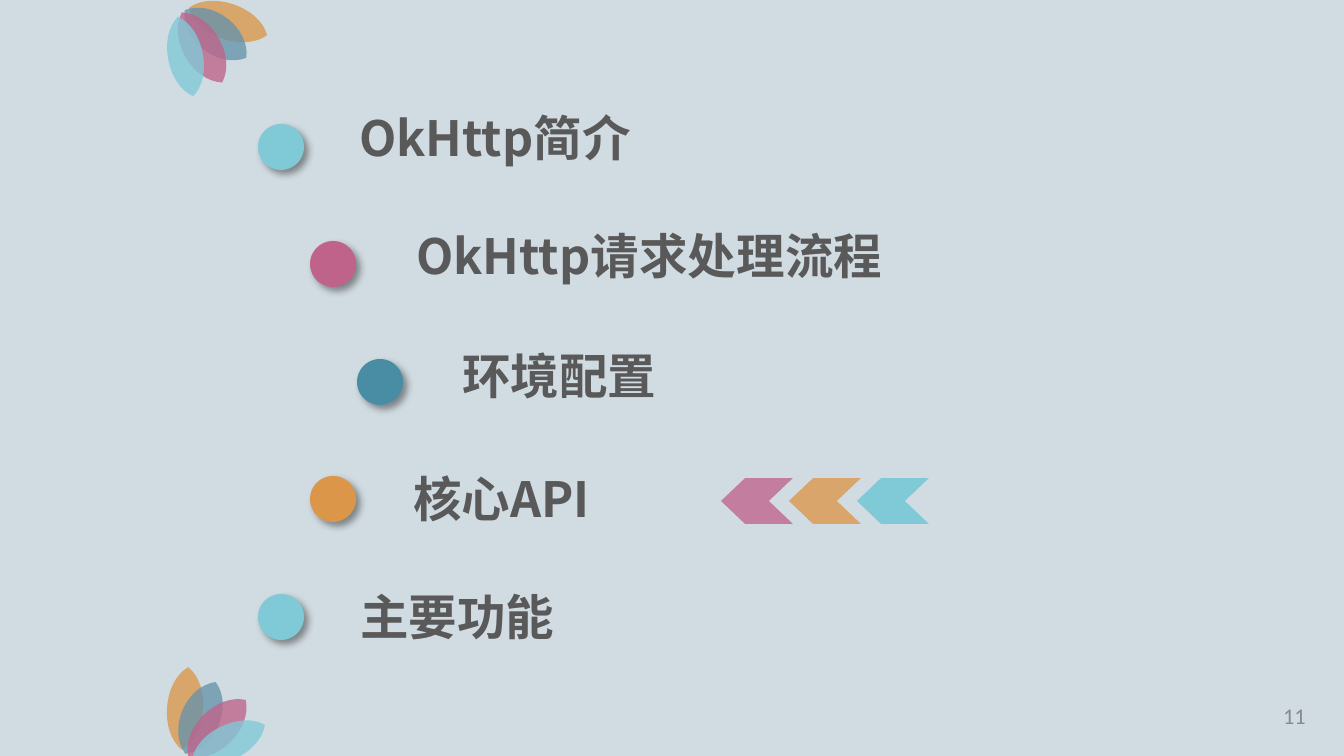
import lxml.etree
import pptx
import pptx.dml.color
import pptx.enum.shapes
import pptx.enum.text
import pptx.oxml.ns
import pptx.util

EMU_PER_PX = 914400 / 134.4
COLORS = {
    "background": "D1DCE2",
    "text": "595959",
    "number": "898989",
    "cyan": "80CAD7",
    "pink": "BF638A",
    "teal": "498DA4",
    "blue": "6694AB",
    "orange": "DB9649",
    "light_orange": "D9A56B",
    "light_pink": "C37D9E",
}
HEADING_FONT = "Noto Sans CJK SC"
PETALS = [
    ("orange", 36, 83, 184.3),
    ("blue", 39, 78, 22.9),
    ("pink", 38, 81, 45.3),
    ("cyan", 35, 81, 64.3),
]
BOTTOM_PLACES = [(0, 0), (14, 12), (31, 21), (44, 35)]
TOP_PLACES = [(43, -20), (29, -5), (16, 7), (1, 16)]
PETAL_CURVES = [
    [(0.83, 0.1), (1, 0.29), (1, 0.5)],
    [(1, 0.71), (0.83, 0.9), (0.5, 1)],
    [(0.17, 0.9), (0, 0.71), (0, 0.5)],
    [(0, 0.29), (0.17, 0.1), (0.5, 0)],
]
AGENDA = [
    ("OkHttp简介", "cyan", 258, 88, -23),
    ("OkHttp请求处理流程", "pink", 310, 93, -22),
    ("环境配置", "teal", 357, 92, -20),
    ("核心API", "orange", 310, 90, -14),
    ("主要功能", "cyan", 258, 89, -14),
]


def px(length):
    return pptx.util.Emu(round(length * EMU_PER_PX))


def rgb(name):
    return pptx.dml.color.RGBColor.from_string(COLORS[name])


def add_child(parent, tag, **attributes):
    child = lxml.etree.SubElement(parent, pptx.oxml.ns.qn(tag))
    for name, value in attributes.items():
        child.set(name, str(value))
    return child


def paint(shape, color):
    shape.shadow.inherit = False
    shape.fill.solid()
    shape.fill.fore_color.rgb = rgb(color)
    shape.line.fill.background()


def add_text(shapes, box, text, font_name, size, color, bold=False):
    shape = shapes.add_textbox(*map(px, box))
    text_frame = shape.text_frame
    text_frame.word_wrap = True
    text_frame.text = text
    run = text_frame.paragraphs[0].runs[0]
    run.font.name = font_name
    run.font.size = pptx.util.Pt(size)
    run.font.bold = bold
    run.font.color.rgb = rgb(color)
    add_child(run._r.get_or_add_rPr(), "a:ea", typeface=font_name)
    return text_frame


def add_petal(shapes, left, top, width, height, rotation, color):
    corners = [curve[-1] for curve in PETAL_CURVES]
    points = [(px(left + width * x), px(top + height * y)) for x, y in corners]
    builder = shapes.build_freeform(*points[-1], scale=1.0)
    builder.add_line_segments(points, close=True)
    shape = builder.convert_to_shape()
    lines = shape._element.spPr.findall(".//" + pptx.oxml.ns.qn("a:lnTo"))
    for line, curve in zip(lines, PETAL_CURVES):
        line.tag = pptx.oxml.ns.qn("a:cubicBezTo")
        for point in list(line):
            line.remove(point)
        for x, y in curve:
            add_child(line, "a:pt", x=px(width * x), y=px(height * y))
    shape.rotation = rotation
    paint(shape, color)
    fill_color = shape._element.spPr.find(".//" + pptx.oxml.ns.qn("a:srgbClr"))
    add_child(fill_color, "a:alpha", val=78000)


def add_flower(slide, left, top, places, turn):
    group = slide.shapes.add_group_shape()
    for (color, width, height, rotation), (x, y) in zip(PETALS, places):
        add_petal(group.shapes, left + x, top + y, width, height, rotation + turn, color)


def add_dot_shadow(shape):
    effects = shape._element.spPr.find(pptx.oxml.ns.qn("a:effectLst"))
    shadow = add_child(
        effects, "a:outerShdw",
        blurRad=pptx.util.Pt(4), dist=pptx.util.Pt(3), dir=45 * 60000, algn="tl", rotWithShape=0,
    )
    add_child(add_child(shadow, "a:srgbClr", val="000000"), "a:alpha", val=40000)


def add_agenda_item(slide, left, top, text, color, text_dx, text_dy):
    group = slide.shapes.add_group_shape()
    box = (left + text_dx, top + text_dy, 530, 73)
    add_text(group.shapes, box, text, HEADING_FONT, 26, "text", bold=True)
    dot = group.shapes.add_shape(
        pptx.enum.shapes.MSO_SHAPE.OVAL, px(left), px(top), px(46), px(46)
    )
    paint(dot, color)
    add_dot_shadow(dot)


def add_agenda(slide, top, bottom):
    for index, (text, color, left, text_dx, text_dy) in enumerate(AGENDA):
        row_top = top + (bottom - top) * index // (len(AGENDA) - 1)
        add_agenda_item(slide, left, row_top, text, color, text_dx, text_dy)


def add_chevrons(slide, left, top):
    group = slide.shapes.add_group_shape()
    for index, color in reversed(list(enumerate(["light_pink", "light_orange", "cyan"]))):
        shape = group.shapes.add_shape(
            pptx.enum.shapes.MSO_SHAPE.CHEVRON, px(left + 68 * index), px(top), px(72), px(46)
        )
        shape.adjustments[0] = 0.525
        shape._element.spPr.xfrm.set("flipH", "1")
        paint(shape, color)


def add_page_number(slide, box):
    text_frame = add_text(slide.shapes, box, "11", "Calibri", 12, "number")
    text_frame.vertical_anchor = pptx.enum.text.MSO_ANCHOR.MIDDLE
    text_frame.paragraphs[0].alignment = pptx.enum.text.PP_ALIGN.RIGHT


def main():
    presentation = pptx.Presentation()
    presentation.slide_width = px(1344)
    presentation.slide_height = px(756)
    slide = presentation.slides.add_slide(presentation.slide_layouts[6])
    slide.background.fill.solid()
    slide.background.fill.fore_color.rgb = rgb("background")
    add_flower(slide, 167, 667, BOTTOM_PLACES, 0)
    add_flower(slide, 167, 0, TOP_PLACES, 104.8)
    add_agenda(slide, 124, 594)
    add_chevrons(slide, 721, 478)
    add_page_number(slide, (1222, 696, 97, 40))
    presentation.save("out.pptx")


if __name__ == "__main__":
    main()
